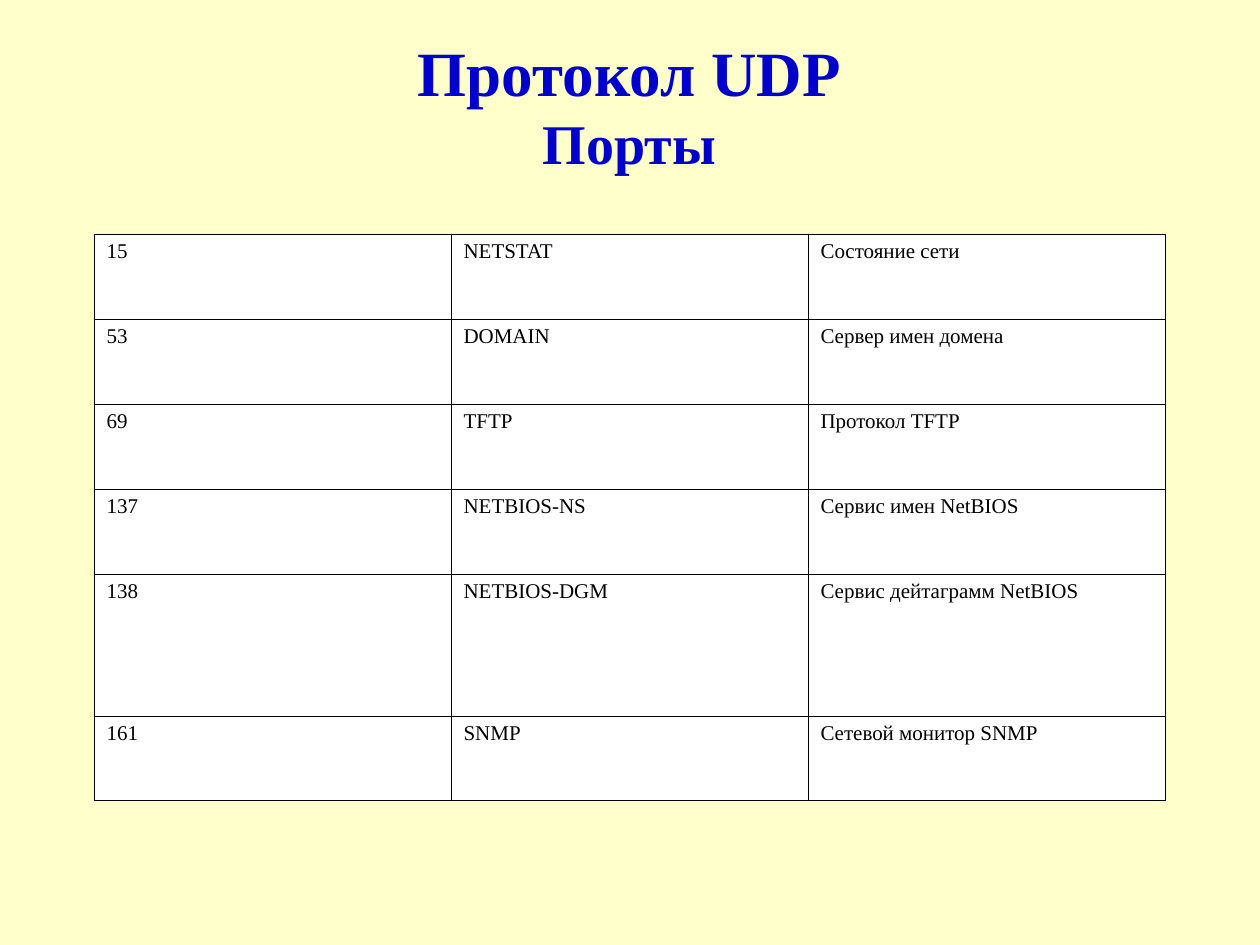
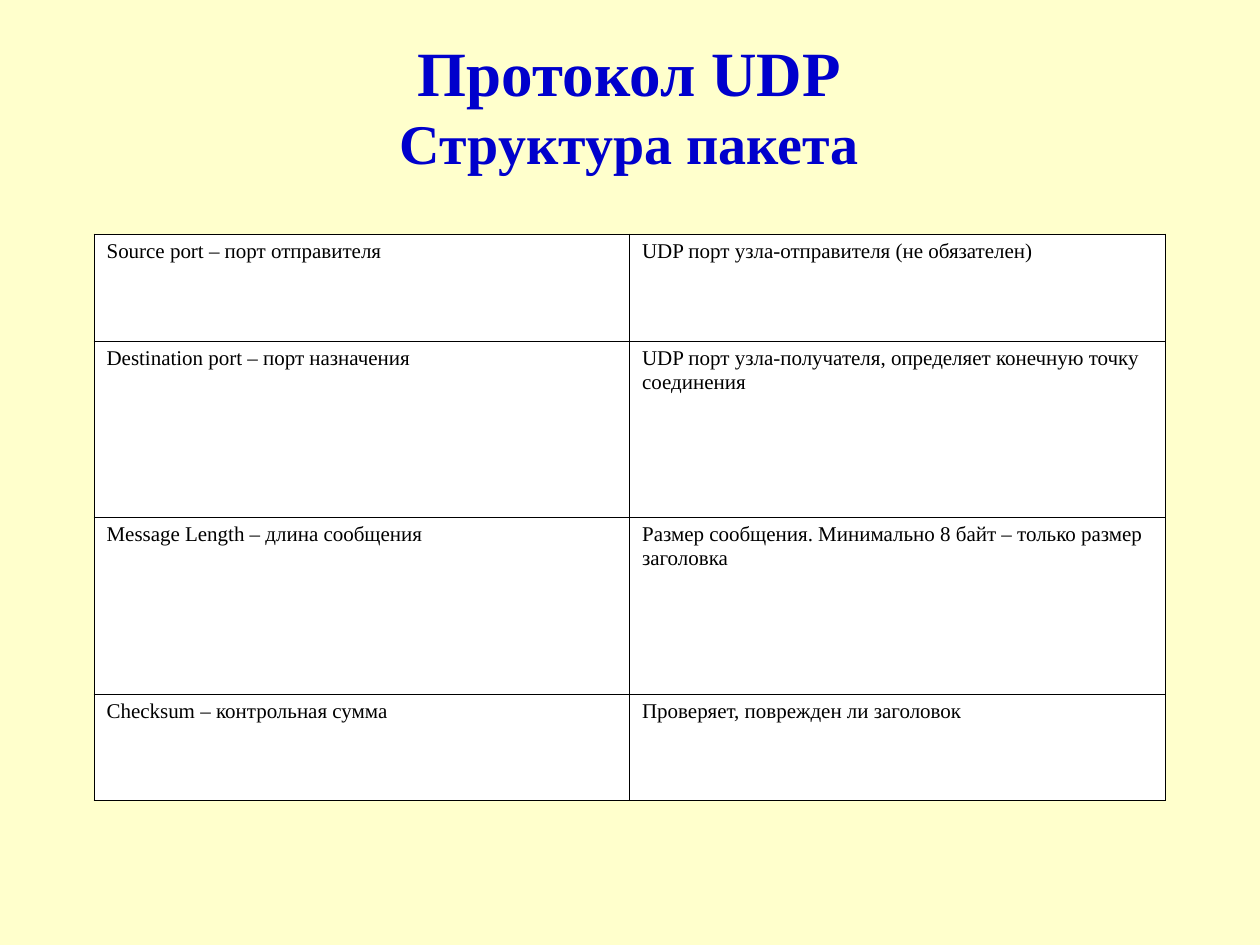
from lxml.etree import SubElement
from pptx import Presentation
from pptx.dml.color import RGBColor
from pptx.enum.text import MSO_ANCHOR as Anchor, PP_ALIGN as Align
from pptx.oxml.ns import qn
from pptx.util import Emu, Pt

# Shared look
FONT = "Times New Roman"
CREAM = RGBColor(0xFF, 0xFF, 0xCC)
BLUE = RGBColor(0x00, 0x00, 0xCC)
WHITE = RGBColor(0xFF, 0xFF, 0xFF)
BLACK = RGBColor(0x00, 0x00, 0x00)
BORDER_WIDTH = Pt(0.45)
LEFT, CONTENT_WIDTH = 94, 1071
TITLE_TOP, TITLE_HEIGHT = 27, 150
TABLE_TOP = 234

# Slide content
PORTS = [
    ("15", "NETSTAT", "Состояние сети"),
    ("53", "DOMAIN", "Сервер имен домена"),
    ("69", "TFTP", "Протокол TFTP"),
    ("137", "NETBIOS-NS", "Сервис имен NetBIOS"),
    ("138", "NETBIOS-DGM", "Сервис дейтаграмм NetBIOS"),
    ("161", "SNMP", "Сетевой монитор SNMP"),
]
PORT_HEIGHTS = [85, 85, 85, 85, 142, 85]
FIELDS = [
    ("Source port – порт отправителя",
     "UDP порт узла-отправителя (не обязателен)"),
    ("Destination port – порт назначения",
     "UDP порт узла-получателя, определяет конечную точку соединения"),
    ("Message Length – длина сообщения",
     "Размер сообщения. Минимально 8 байт – только размер заголовка"),
    ("Checksum – контрольная сумма",
     "Проверяет, поврежден ли заголовок"),
]
FIELD_HEIGHTS = [107, 176, 177, 107]


def px(length):
    return Emu(length * 914400 // 126)


def add_span(para, text, size, color, bold=False):
    span = para.add_run()
    span.text = text
    span.font.name = FONT
    span.font.size = Pt(size)
    span.font.bold = bold
    span.font.color.rgb = color


def add_page(deck):
    page = deck.slides.add_slide(deck.slide_layouts[6])
    page.background.fill.solid()
    page.background.fill.fore_color.rgb = CREAM
    return page


def add_title(page, subtitle):
    box = page.shapes.add_textbox(px(LEFT), px(TITLE_TOP),
                                  px(CONTENT_WIDTH), px(TITLE_HEIGHT))
    frame = box.text_frame
    frame.word_wrap = True
    frame.vertical_anchor = Anchor.TOP
    lines = [("Протокол UDP", 36), (subtitle, 32)]
    for index, (text, size) in enumerate(lines):
        para = frame.add_paragraph() if index else frame.paragraphs[0]
        para.alignment = Align.CENTER
        add_span(para, text, size, BLUE, bold=True)


def add_borders(cell):
    properties = cell._tc.get_or_add_tcPr()
    for side in ("a:lnL", "a:lnR", "a:lnT", "a:lnB"):
        line = SubElement(properties, qn(side), w=str(int(BORDER_WIDTH)))
        fill = SubElement(line, qn("a:solidFill"))
        SubElement(fill, qn("a:srgbClr"), val=str(BLACK))


def fill_cell(cell, text):
    # Borders come before the fill in the cell properties
    add_borders(cell)
    cell.fill.solid()
    cell.fill.fore_color.rgb = WHITE
    add_span(cell.text_frame.paragraphs[0], text, 12, BLACK)


def add_grid(page, rows, heights):
    count = len(rows[0])
    frame = page.shapes.add_table(len(rows), count, px(LEFT), px(TABLE_TOP),
                                  px(CONTENT_WIDTH), px(sum(heights)))
    table = frame.table
    table.first_row = False
    table.horz_banding = False
    for column in table.columns:
        column.width = Emu(px(CONTENT_WIDTH) // count)
    for row, height, texts in zip(table.rows, heights, rows):
        row.height = px(height)
        for cell, text in zip(row.cells, texts):
            fill_cell(cell, text)


def main():
    deck = Presentation()
    deck.slide_width, deck.slide_height = px(1260), px(945)

    # Ports
    page = add_page(deck)
    add_title(page, "Порты")
    add_grid(page, PORTS, PORT_HEIGHTS)

    # Packet structure
    page = add_page(deck)
    add_title(page, "Структура пакета")
    add_grid(page, FIELDS, FIELD_HEIGHTS)

    deck.save("out.pptx")


if __name__ == "__main__":
    main()
